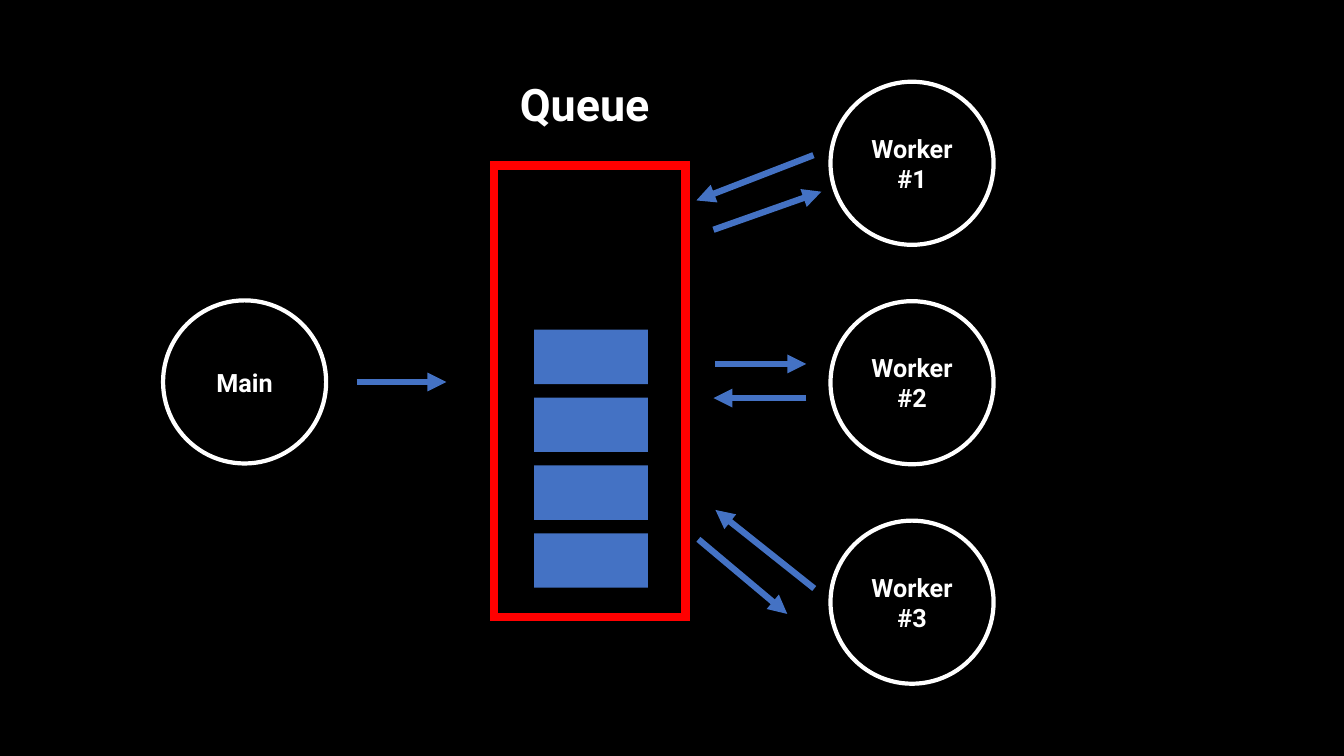
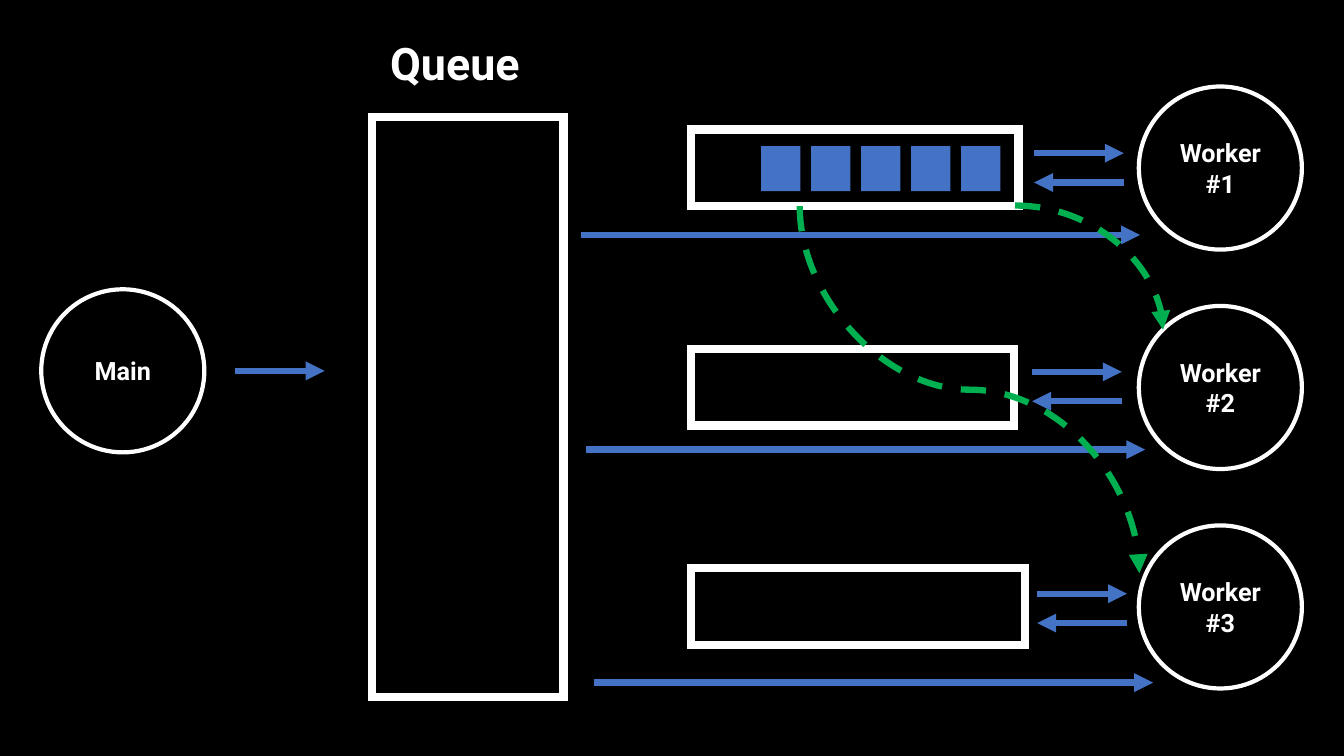
from lxml import etree
from pptx import Presentation
from pptx.dml.color import RGBColor
from pptx.enum.dml import MSO_LINE
from pptx.enum.shapes import MSO_CONNECTOR, MSO_SHAPE
from pptx.enum.text import MSO_ANCHOR, MSO_AUTO_SIZE, PP_ALIGN
from pptx.oxml.ns import qn
from pptx.util import Cm, Pt

RECTANGLE, CIRCLE = MSO_SHAPE.RECTANGLE, MSO_SHAPE.OVAL
STRAIGHT, CURVE = MSO_CONNECTOR.STRAIGHT, MSO_CONNECTOR.CURVE
DASH = MSO_LINE.DASH
LEFT, CENTER = PP_ALIGN.LEFT, PP_ALIGN.CENTER
TOP, MIDDLE = MSO_ANCHOR.TOP, MSO_ANCHOR.MIDDLE

BLACK = RGBColor(0x00, 0x00, 0x00)
WHITE = RGBColor(0xFF, 0xFF, 0xFF)
RED = RGBColor(0xFF, 0x00, 0x00)
BLUE = RGBColor(0x44, 0x72, 0xC4)
GREEN = RGBColor(0x00, 0xB0, 0x50)

TITLE_FONT = {"name": "Roboto", "size": Pt(32), "bold": True}
LABEL_FONT = {"name": "Roboto", "size": Pt(18), "bold": True}
TITLE_FRAME = {"word_wrap": False, "auto_size": MSO_AUTO_SIZE.NONE, "vertical_anchor": TOP}
LABEL_FRAME = {"word_wrap": True, "vertical_anchor": MIDDLE}
INSETS = {"margin_left": Cm(0.25), "margin_right": Cm(0.25),
          "margin_top": Cm(0.13), "margin_bottom": Cm(0.13)}

# Sizes in centimetres
DIAMETER = 4.11
ROW_STEP = 5.53
QUEUE_WIDTH = 4.83
ARROW_LENGTH = 2.26


def add_box(slide, kind, left, top, width, height, fill=None, line=None, line_width=6):
    shape = slide.shapes.add_shape(kind, Cm(left), Cm(top), Cm(width), Cm(height))
    shape.shadow.inherit = False
    if fill is None:
        shape.fill.background()
    else:
        shape.fill.solid()
        shape.fill.fore_color.rgb = fill
    if line is None:
        shape.line.fill.background()
    else:
        shape.line.color.rgb = line
        shape.line.width = Pt(line_width)
        etree.SubElement(shape.line._get_or_add_ln(), qn("a:miter"), lim="800000")
    return shape


def add_arrow(slide, x1, y1, x2, y2, kind=STRAIGHT, color=BLUE, dash=None):
    arrow = slide.shapes.add_connector(kind, Cm(x1), Cm(y1), Cm(x2), Cm(y2))
    arrow.line.color.rgb = color
    arrow.line.width = Pt(4.5)
    if dash is not None:
        arrow.line.dash_style = dash
    etree.SubElement(arrow.line._get_or_add_ln(), qn("a:tailEnd"), type="triangle")
    etree.SubElement(arrow._element.spPr, qn("a:effectLst"))
    return arrow


presentation = Presentation()
presentation.slide_width, presentation.slide_height = Cm(33.87), Cm(19.05)
background = presentation.slide_master.background.fill
background.solid()
background.fore_color.rgb = BLACK
title_only = presentation.slide_layouts[5]

# Shared parts: title, queue frame, main and worker circles, main arrow
scenes = [
    {"title": (12.85, 1.8), "queue": (12.45, 4.17, 11.38), "color": RED,
     "main": (4.11, 7.57), "workers": (20.93, 2.06)},
    {"title": (9.58, 0.76), "queue": (9.37, 2.95, 14.61), "color": WHITE,
     "main": (1.04, 7.29), "workers": (28.7, 2.18)},
]
slides = []
for scene in scenes:
    slide = presentation.slides.add_slide(title_only)
    slides.append(slide)

    title = slide.shapes.title
    title.left, title.top = [Cm(value) for value in scene["title"]]
    title.width, title.height = Cm(3.99), Cm(1.63)
    labels = [(title, "Queue", TITLE_FONT, TITLE_FRAME, LEFT)]

    queue_left, queue_top, queue_height = scene["queue"]
    add_box(slide, RECTANGLE, queue_left, queue_top, QUEUE_WIDTH, queue_height,
            line=scene["color"])

    main_left, main_top = scene["main"]
    worker_left, worker_top = scene["workers"]
    circles = [("Main", main_left, main_top)]
    for row in range(3):
        circles.append((f"Worker #{row + 1}", worker_left, worker_top + row * ROW_STEP))
    for text, left, top in circles:
        circle = add_box(slide, CIRCLE, left, top, DIAMETER, DIAMETER,
                         line=WHITE, line_width=3)
        labels.append((circle, text, LABEL_FONT, LABEL_FRAME, CENTER))

    for shape, text, font_format, frame_format, alignment in labels:
        frame = shape.text_frame
        frame.text = text
        for name, value in {**frame_format, **INSETS}.items():
            setattr(frame, name, value)
        paragraph = frame.paragraphs[0]
        paragraph.alignment = alignment
        font = paragraph.runs[0].font
        for name, value in font_format.items():
            setattr(font, name, value)
        font.color.rgb = WHITE

    arrow_left, arrow_y = main_left + 4.88, main_top + DIAMETER / 2
    add_arrow(slide, arrow_left, arrow_y, arrow_left + ARROW_LENGTH, arrow_y)

shared_queue, worker_queues = slides

# Slide 1: tasks in the shared queue
for task in range(4):
    add_box(shared_queue, RECTANGLE, 13.46, 8.31 + task * 1.71, 2.87, 1.37, fill=BLUE)

# Slide 1: arrows between queue and workers
for ends in [
    (20.5, 3.91, 17.55, 5.05), (17.98, 5.79, 20.7, 4.83),
    (18.03, 9.17, 20.32, 9.17), (20.32, 10.03, 17.98, 10.03),
    (20.52, 14.83, 18.03, 12.85), (17.6, 13.59, 19.84, 15.47),
]:
    add_arrow(shared_queue, *ends)

# Slide 2: a local queue per worker, with its arrows
# (queue width, pair left, pair top, long arrow left, long arrow y)
lanes = [
    (8.26, 26.06, 3.86, 14.63, 5.92),
    (8.15, 26.01, 9.37, 14.76, 11.33),
    (8.43, 26.14, 14.96, 14.96, 17.2),
]
for row, (width, pair_left, pair_top, long_left, long_y) in enumerate(lanes):
    add_box(worker_queues, RECTANGLE, 17.41, 3.26 + row * ROW_STEP, width, 1.93, line=WHITE)
    pair_right, pair_bottom = pair_left + ARROW_LENGTH, pair_top + 0.74
    add_arrow(worker_queues, pair_left, pair_top, pair_right, pair_top)
    add_arrow(worker_queues, pair_right, pair_bottom, pair_left, pair_bottom)
    add_arrow(worker_queues, long_left, long_y, long_left + 14.1, long_y)

# Slide 2: tasks of the first worker
for task in range(5):
    add_box(worker_queues, RECTANGLE, 19.18 + task * 1.26, 3.68, 0.99, 1.14, fill=BLUE)

# Slide 2: tasks stolen by the other workers
steal_by_second = add_arrow(worker_queues, 25.58, 5.18, 29.31, 8.31, CURVE, GREEN, DASH)
steal_by_second._element.spPr.find(qn("a:prstGeom")).set("prst", "curvedConnector2")

# The turned and flipped curve leaves and arrives vertically
steal_by_third = add_arrow(worker_queues, 19.81, 5.54, 29.06, 14.1, CURVE, GREEN, DASH)
transform = steal_by_third._element.spPr.find(qn("a:xfrm"))
transform.set("rot", "16200000")
transform.set("flipH", "1")

presentation.save("out.pptx")
